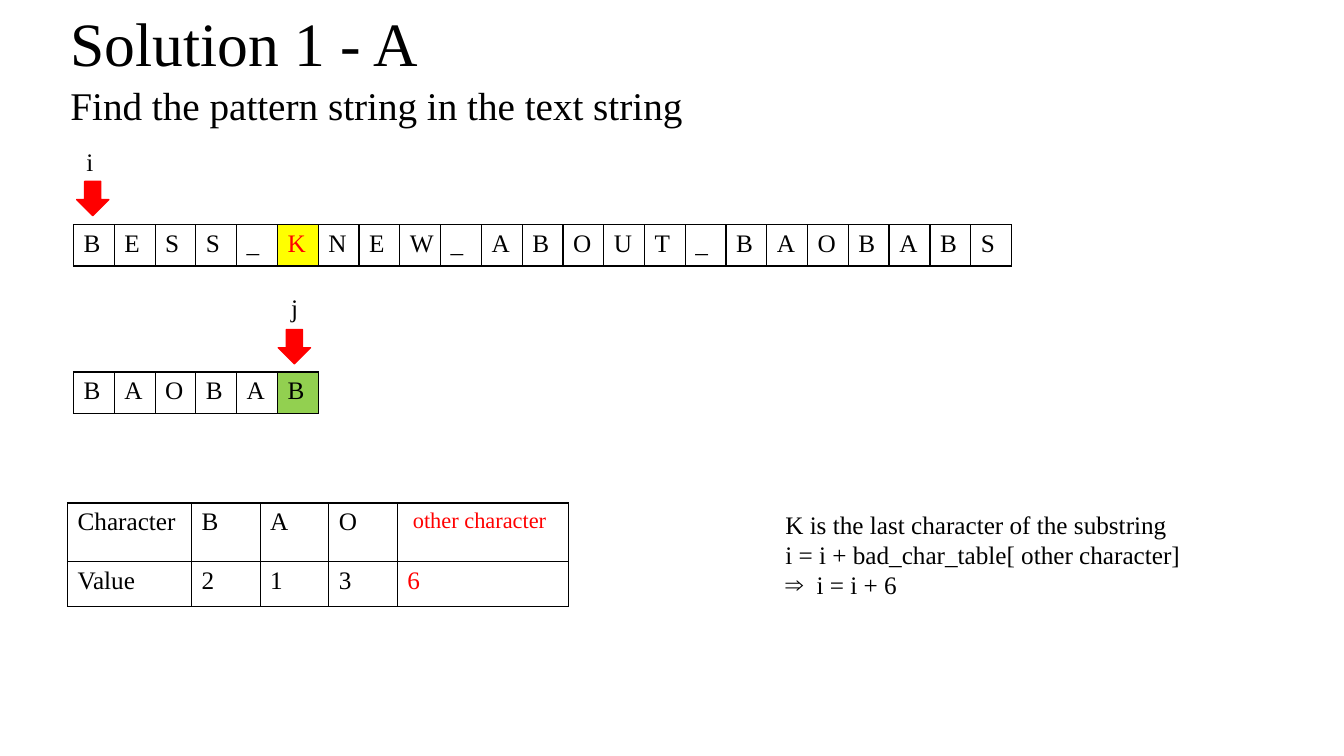
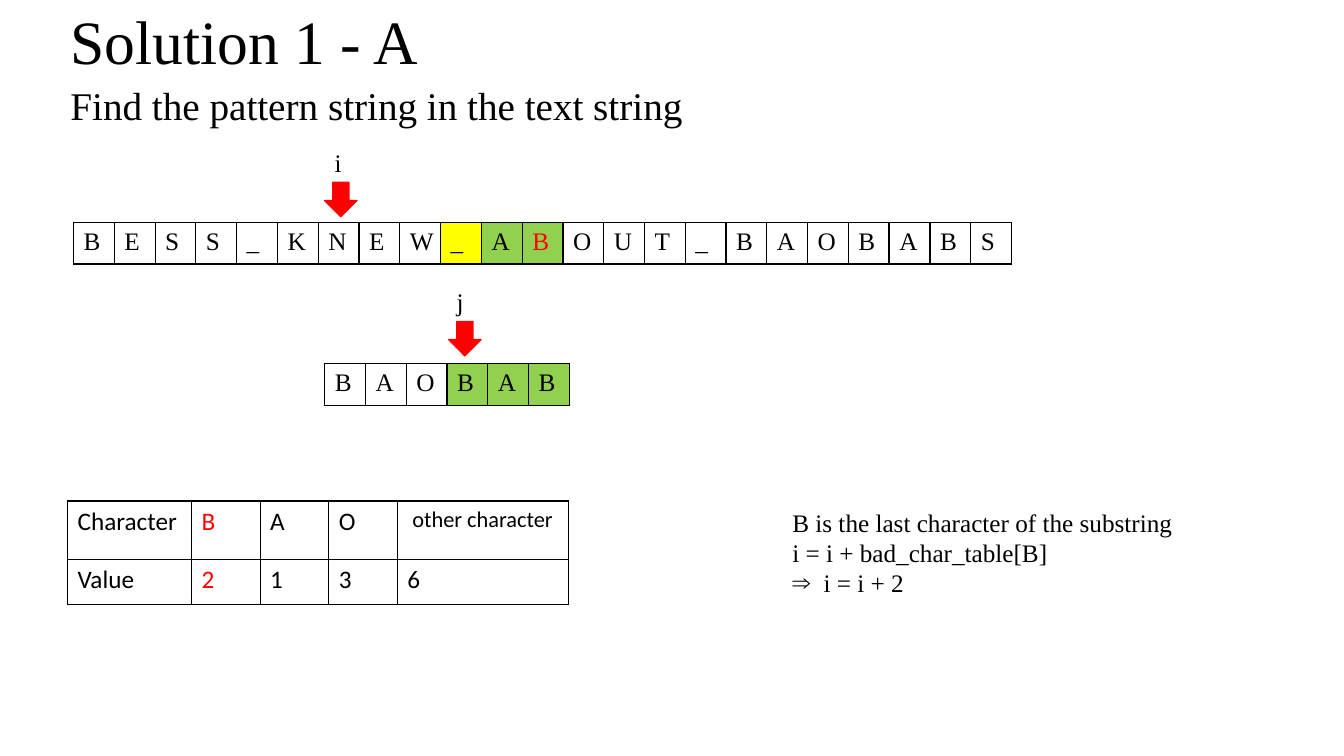
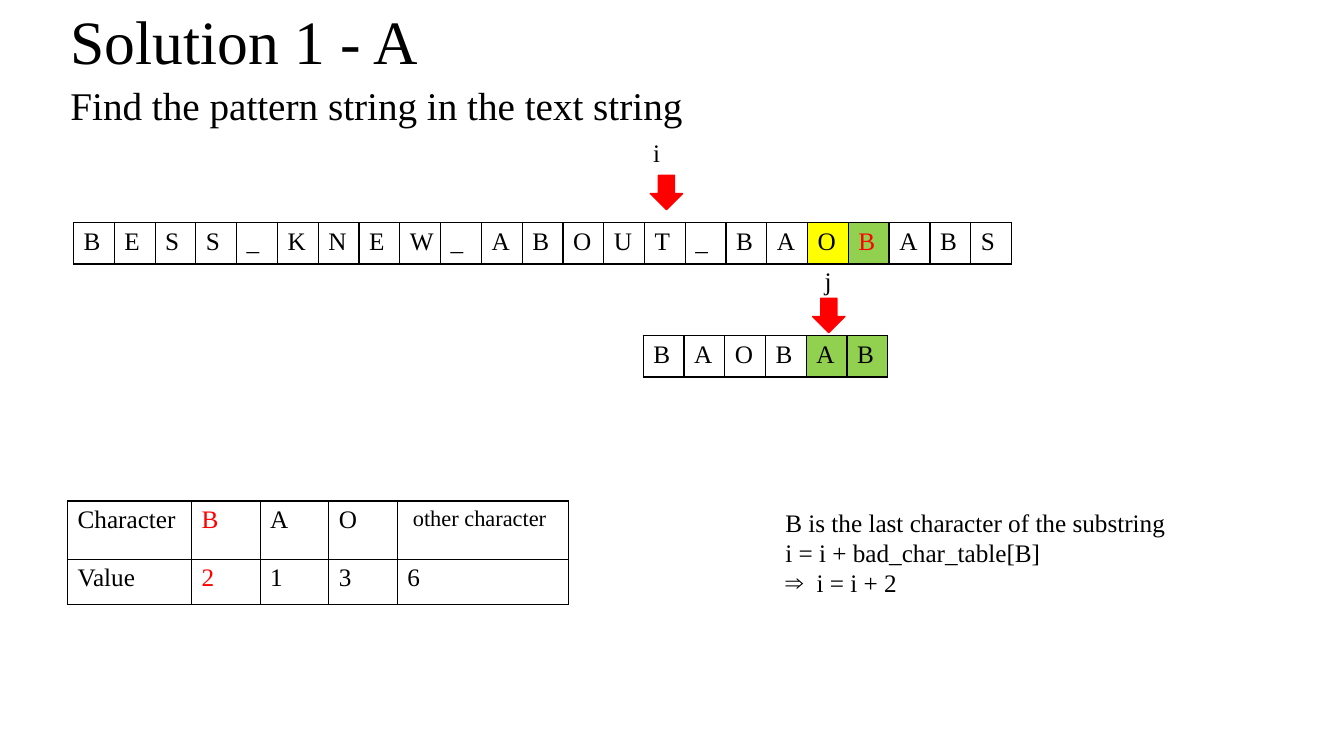
from dataclasses import dataclass
from typing import NamedTuple

from lxml.etree import SubElement
from pptx import Presentation
from pptx.dml.color import RGBColor
from pptx.enum.shapes import MSO_SHAPE as Preset
from pptx.enum.text import MSO_ANCHOR as Anchor
from pptx.oxml.ns import qn
from pptx.util import Emu, Pt

EMU_PER_PX = 9144  # 100 px to the inch
COLORS = {
    "ink": "000000",
    "paper": "FFFFFF",
    "accent": "FF0000",
    "mismatch": "FFFF00",
    "match": "92D050",
}
SERIF, SANS = "Times New Roman", "Calibri"
BODY_SIZE = 18

TITLE = "Solution 1 - A"
SUBTITLE = "Find the pattern string in the text string"
TEXT_CHUNKS = ("BESS_KNEW_", "ABOUT_BAOB", "ABS")
PATTERN = "BAOBAB"
OTHER = " other character"
SHIFTS = (("Character", "B", "A", "O", OTHER), ("Value", "2", "1", "3", "6"))
SHIFT_COLUMNS = (123, 68, 68, 68, 170)
SHIFT_ROWS = (58, 45)


def emu(px: int) -> Emu:
    return Emu(px * EMU_PER_PX)


STRIP_LEFT = 73
CELL_WIDTH = Emu(emu(809) // 20)
CELL_HEIGHT = emu(41)


class Point(NamedTuple):
    left: int
    top: int


class Box(NamedTuple):
    left: int
    top: int
    width: int
    height: int


class CellLook(NamedTuple):
    fill: str = "paper"
    color: str = "ink"


class Pointer(NamedTuple):
    name: str
    label: Point
    arrow: Point


PLAIN = CellLook()
MATCH = CellLook("match")


@dataclass(frozen=True)
class Step:
    text_looks: dict[int, CellLook]
    pattern_at: Point
    matched: int  # highlighted cells at the end of the pattern
    pointers: tuple[Pointer, Pointer]
    shift_column: int  # column of the shift table in use
    note: tuple[str, str, str]
    note_left: int = 769
    drop: int = 0  # offset of the fixed parts
    shift_font: str = SERIF


NOTE_FOR_B = (
    "B is the last character of the substring",
    "i = i + bad_char_table[B]",
    "i = i + 2",
)
STEPS = (
    Step(
        text_looks={5: CellLook("mismatch", "accent")},
        pattern_at=Point(73, 369),
        matched=1,
        pointers=(
            Pointer("i", Point(76, 140), Point(76, 180)),
            Pointer("j", Point(279, 285), Point(276, 327)),
        ),
        shift_column=4,
        note=(
            "K is the last character of the substring",
            "i = i + bad_char_table[ other character]",
            "i = i + 6",
        ),
        drop=2,
    ),
    Step(
        text_looks={9: CellLook("mismatch"), 10: MATCH, 11: CellLook("match", "accent")},
        pattern_at=Point(322, 361),
        matched=3,
        pointers=(
            Pointer("i", Point(322, 141), Point(322, 181)),
            Pointer("j", Point(443, 279), Point(445, 319)),
        ),
        shift_column=1,
        note=NOTE_FOR_B,
        note_left=776,
        shift_font=SANS,
    ),
    Step(
        text_looks={18: CellLook("mismatch"), 19: CellLook("match", "accent")},
        pattern_at=Point(638, 333),
        matched=2,
        pointers=(
            Pointer("i", Point(638, 131), Point(645, 174)),
            Pointer("j", Point(808, 258), Point(806, 296)),
        ),
        shift_column=1,
        note=NOTE_FOR_B,
    ),
)


def rgb(name: str) -> RGBColor:
    return RGBColor.from_string(COLORS[name])


def write(paragraph, text: str, *, size: int = BODY_SIZE, font: str = SERIF,
          color: str = "ink", line_spacing: float | None = None,
          space_before: int | None = None, bullet: str | None = None) -> None:
    """Put formatted text into a paragraph."""
    run = paragraph.add_run()
    run.text = text
    run.font.size = Pt(size)
    run.font.name = font
    run.font.color.rgb = rgb(color)
    if line_spacing is not None:
        paragraph.line_spacing = line_spacing
    if space_before is not None:
        paragraph.space_before = Pt(space_before)
    if bullet:
        props = paragraph._p.get_or_add_pPr()
        props.set("marL", str(emu(31)))
        props.set("indent", str(-emu(31)))
        SubElement(props, qn("a:buFont"), typeface=font)
        SubElement(props, qn("a:buChar"), char=bullet)


def add_text_frame(slide, box: Box, anchor: Anchor = Anchor.TOP):
    frame = slide.shapes.add_textbox(*map(emu, box)).text_frame
    frame.word_wrap = True
    frame.vertical_anchor = anchor
    return frame


def style_cell(cell, text: str, look: CellLook, size: int, font: str) -> None:
    props = cell._tc.get_or_add_tcPr()
    for side in ("lnL", "lnR", "lnT", "lnB"):
        border = SubElement(props, qn(f"a:{side}"), w=str(Pt(1)))
        paint = SubElement(border, qn("a:solidFill"))
        SubElement(paint, qn("a:srgbClr"), val=COLORS["ink"])
    cell.fill.solid()
    cell.fill.fore_color.rgb = rgb(look.fill)
    write(cell.text_frame.paragraphs[0], text, size=size, font=font, color=look.color)


def add_grid(slide, left: Emu, top: Emu, widths: list[Emu], heights: list[Emu],
             texts, looks: dict[tuple[int, int], CellLook], font: str = SERIF) -> None:
    """Draw a bordered table; looks are keyed by (row, column)."""
    table = slide.shapes.add_table(
        len(heights), len(widths), left, top, Emu(sum(widths)), Emu(sum(heights))
    ).table
    table.first_row = table.horz_banding = False
    for column, width in zip(table.columns, widths):
        column.width = width
    for row, height in zip(table.rows, heights):
        row.height = height
    for r, row_texts in enumerate(texts):
        for c, text in enumerate(row_texts):
            size = 16 if text == OTHER else BODY_SIZE
            style_cell(table.cell(r, c), text, looks.get((r, c), PLAIN), size, font)


def add_strip(slide, left: Emu, top: Emu, letters: str, looks: dict[int, CellLook]) -> None:
    """Draw one row of letter cells."""
    add_grid(slide, left, top, [CELL_WIDTH] * len(letters), [CELL_HEIGHT], [letters],
             {(0, c): look for c, look in looks.items()})


def add_pointer(slide, pointer: Pointer) -> None:
    label = add_text_frame(slide, Box(*pointer.label, 37, 40))
    write(label.paragraphs[0], pointer.name)
    arrow = slide.shapes.add_shape(
        Preset.DOWN_ARROW, *map(emu, Box(*pointer.arrow, 32, 34)))
    arrow.shadow.inherit = False
    arrow.fill.solid()
    arrow.fill.fore_color.rgb = rgb("accent")
    arrow.line.color.rgb = rgb("accent")
    arrow.line.width = Pt(1)


def add_step(slide, step: Step) -> None:
    # Title and subtitle
    title = add_text_frame(slide, Box(60, step.drop, 1032, 89), Anchor.MIDDLE)
    write(title.paragraphs[0], TITLE, size=44, line_spacing=0.9)
    subtitle = add_text_frame(slide, Box(60, 81, 1150, 533))
    write(subtitle.paragraphs[0], SUBTITLE, size=28, line_spacing=0.9, space_before=10)

    # Shift table
    used = {(r, step.shift_column): CellLook(color="accent") for r in range(len(SHIFTS))}
    add_grid(slide, emu(67), emu(497 + step.drop), [emu(w) for w in SHIFT_COLUMNS],
             [emu(h) for h in SHIFT_ROWS], SHIFTS, used, step.shift_font)

    # Text string, in chunks that sit end to end
    start = 0
    for chunk in TEXT_CHUNKS:
        looks = {i - start: look for i, look in step.text_looks.items()}
        add_strip(slide, Emu(emu(STRIP_LEFT) + start * CELL_WIDTH),
                  emu(221 + step.drop), chunk, looks)
        start += len(chunk)

    # Pattern string
    first_match = len(PATTERN) - step.matched
    add_strip(slide, *map(emu, step.pattern_at), PATTERN,
              {c: MATCH for c in range(first_match, len(PATTERN))})

    # Pointers i and j
    for pointer in step.pointers:
        add_pointer(slide, pointer)

    # Explanation of the shift
    note = add_text_frame(slide, Box(step.note_left, 498 + step.drop, 455, 101))
    reason, rule, result = step.note
    write(note.paragraphs[0], reason)
    write(note.add_paragraph(), rule)
    write(note.add_paragraph(), result, bullet="⇒")


def main() -> None:
    deck = Presentation()
    deck.slide_width, deck.slide_height = emu(1333), emu(750)
    blank = deck.slide_layouts[6]
    for step in STEPS:
        add_step(deck.slides.add_slide(blank), step)
    deck.save("out.pptx")


if __name__ == "__main__":
    main()
